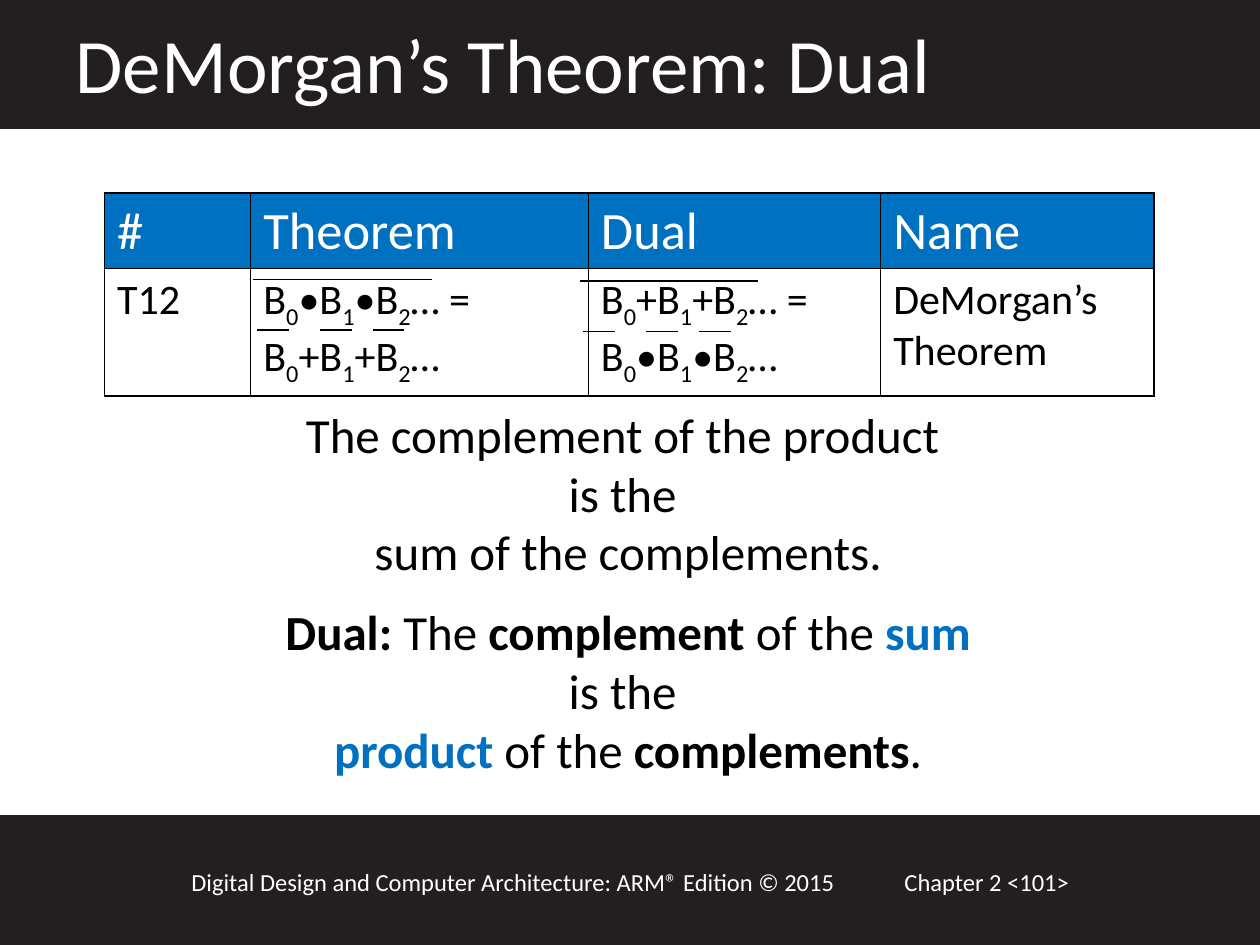
from dataclasses import dataclass

from lxml.etree import SubElement
from pptx import Presentation
from pptx.dml.color import RGBColor
from pptx.enum.shapes import MSO_CONNECTOR, MSO_SHAPE
from pptx.enum.text import MSO_ANCHOR, MSO_AUTO_SIZE, PP_ALIGN
from pptx.oxml import parse_xml
from pptx.oxml.ns import nsdecls, qn
from pptx.util import Inches, Pt


@dataclass(frozen=True)
class Theme:
    font = "Calibri"
    bar = RGBColor(0x23, 0x1F, 0x20)
    white = RGBColor(0xFF, 0xFF, 0xFF)
    black = RGBColor(0, 0, 0)
    blue = RGBColor(0x00, 0x70, 0xC0)
    title = Pt(44)
    header = Pt(30)
    body = Pt(28)
    cell = Pt(24)
    footer = Pt(14)


theme = Theme()


def add_run(p, text, size, color, bold=False, subscript=False):
    r = p.add_run()
    r.text = text
    r.font.name = theme.font
    r.font.size = size
    r.font.color.rgb = color
    r.font.bold = bold
    if subscript:
        r.font._element.set("baseline", "-25000")


def add_border(cell):
    """Draw a 1 pt black line on all four sides of a cell."""
    tcPr = cell._tc.get_or_add_tcPr()
    for i, side in enumerate(("lnL", "lnR", "lnT", "lnB")):
        tcPr.insert(i, parse_xml(
            f'<a:{side} {nsdecls("a")} w="12700"><a:solidFill>'
            f'<a:srgbClr val="{theme.black}"/></a:solidFill></a:{side}>'))


prs = Presentation()
prs.slide_width, prs.slide_height = Inches(10), Inches(7.5)
s = prs.slides.add_slide(prs.slide_layouts[5])

# Bars at the top and bottom
for top, height in ((6.48, 1.02), (0, 1.01)):
    bar = s.shapes.add_shape(MSO_SHAPE.RECTANGLE, 0, Inches(top), prs.slide_width, Inches(height))
    bar.shadow.inherit = False
    bar.fill.solid()
    bar.fill.fore_color.rgb = theme.bar
    bar.line.color.rgb = theme.bar
    bar.line.width = Pt(2)

# Title, brought in front of the top bar
title = s.shapes.title
s.shapes._spTree.append(title._element)
title.left, title.top, title.width, title.height = (Inches(v) for v in (0.5, 0.08, 8.67, 0.84))
tf = title.text_frame
tf.auto_size = MSO_AUTO_SIZE.NONE
tf.vertical_anchor = MSO_ANCHOR.TOP
p = tf.paragraphs[0]
p.alignment = PP_ALIGN.LEFT
add_run(p, "DeMorgan’s Theorem: Dual", theme.title, theme.white)

# Footer
for left, width, text in (
    (7.08, 2.17, "Chapter 2 <101>"),
    (1.42, 5.75, "Digital Design and Computer Architecture: ARM® Edition © 2015"),
):
    sp = s.shapes.add_textbox(Inches(left), Inches(6.83), Inches(width), Inches(0.34))
    sp.text_frame.word_wrap = True
    add_run(sp.text_frame.paragraphs[0], text, theme.footer, theme.white)

# Statement and its dual: (text, colour, bold) runs for each line
black, blue = theme.black, theme.blue
statement = [
    [("The complement of the product ", black, False)],
    [("is the ", black, False)],
    [("sum of the complements.", black, False)],
]
dual = [
    [("Dual: ", black, True), ("The ", black, False), ("complement ", black, True),
     ("of the ", black, False), ("sum", blue, True)],
    [("is the ", black, False)],
    [("product ", blue, True), ("of the ", black, False), ("complements", black, True),
     (".", black, False)],
]
sp = s.shapes.add_textbox(Inches(0.95), Inches(3.16), Inches(8.07), Inches(3.1))
tf = sp.text_frame
tf.word_wrap = True
for i, line in enumerate(statement + dual):
    p = tf.paragraphs[0] if i == 0 else tf.add_paragraph()
    p.alignment = PP_ALIGN.CENTER
    if i == len(statement):
        p.space_before = Pt(12)
    for text, color, bold in line:
        add_run(p, text, theme.body, color, bold)

# Theorem table; digits in the formulas are subscripts
rows = [
    ["#", "Theorem", "Dual", "Name"],
    ["T12", "B0•B1•B2… = B0+B1+B2…", "B0+B1+B2… = B0•B1•B2…", "DeMorgan’s Theorem"],
]
table = s.shapes.add_table(2, 4, Inches(0.83), Inches(1.53), Inches(8.33), Inches(1.6)).table
for column, width in zip(table.columns, (1.16, 2.68, 2.32, 2.17)):
    column.width = Inches(width)
for row, height in zip(table.rows, (0.6, 1)):
    row.height = Inches(height)
for i, texts in enumerate(rows):
    size, color, fill = ((theme.cell, black, theme.white) if i else
                         (theme.header, theme.white, blue))
    for j, text in enumerate(texts):
        cell = table.cell(i, j)
        cell.fill.solid()
        cell.fill.fore_color.rgb = fill
        add_border(cell)
        p = cell.text_frame.paragraphs[0]
        if "…" not in text:
            add_run(p, text, size, color)
            continue
        part = ""
        for char in text:
            if char.isdigit():
                add_run(p, part, size, color)
                add_run(p, char, size, color, subscript=True)
                part = ""
            else:
                part += char
        add_run(p, part, size, color)

# Complement bars: one long bar over the first line, three short over the second
bars = ((0, 0, 1.42), (0.03, 0.4, 0.25), (0.53, 0.4, 0.25), (0.95, 0.4, 0.25))
for left, top in ((2.01, 2.22), (4.6, 2.23)):
    for dx, dy, length in bars:
        x, y = left + dx, top + dy
        line = s.shapes.add_connector(MSO_CONNECTOR.STRAIGHT, Inches(x), Inches(y),
                                      Inches(x + length), Inches(y))
        line.line.color.rgb = black
        line.line.width = Pt(0.75)
        SubElement(line._element.spPr, qn("a:effectLst"))

prs.save("out.pptx")
